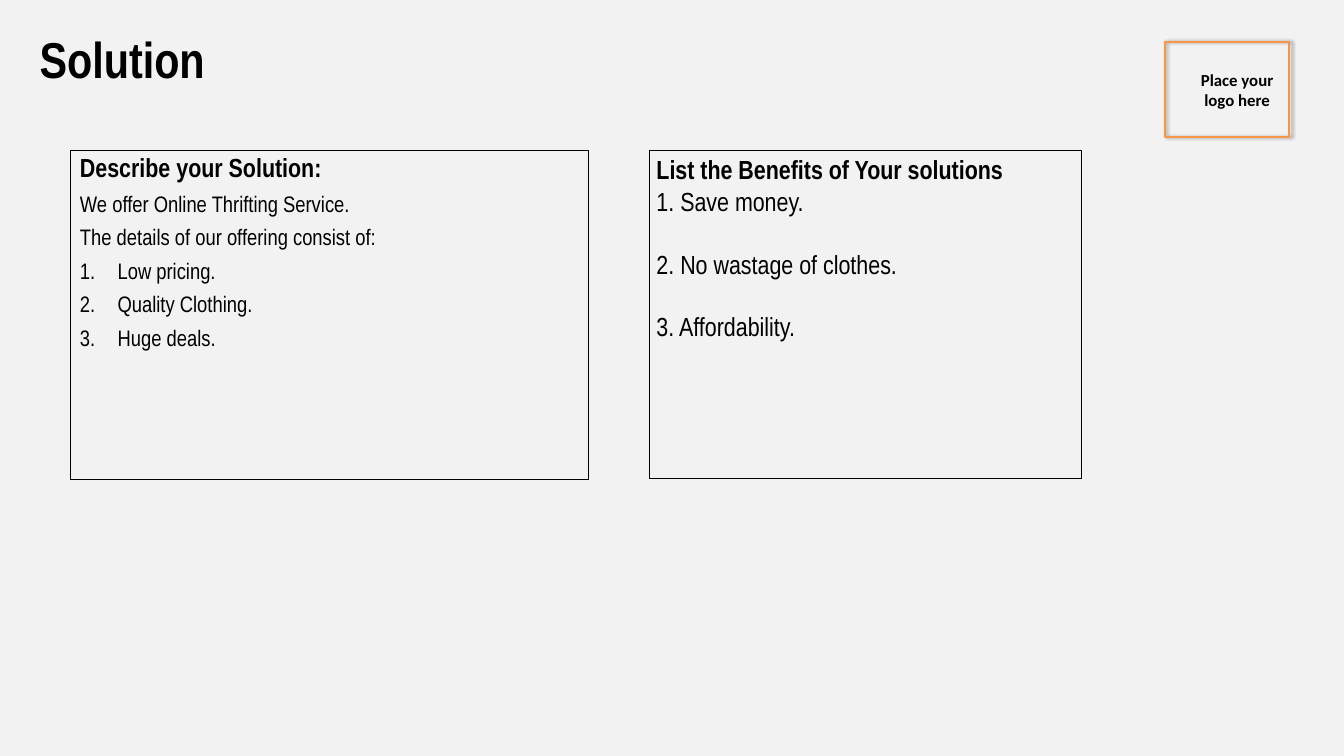
import pptx
import pptx.dml.color
import pptx.enum.shapes
import pptx.enum.text
import pptx.oxml
import pptx.util
from lxml import etree

Inches = pptx.util.Inches
Pt = pptx.util.Pt
ALIGN = pptx.enum.text.PP_ALIGN
NS = "http://schemas.openxmlformats.org/drawingml/2006/main"
COLORS = {"back": "F2F2F2", "ink": "000000", "accent": "F79646"}


def color(name):
    return pptx.dml.color.RGBColor.from_string(COLORS[name])


def write(frame, text, first=False, size=28, font="Arial Narrow", bold=False,
          align=ALIGN.LEFT, line=None, before=0, number=False):
    """Write one paragraph; number makes it an item of a numbered list."""
    para = frame.paragraphs[0] if first else frame.add_paragraph()
    para.alignment = align
    para.space_before = Pt(before)
    if line:
        para.line_spacing = line
    if number:
        props = para._p.get_or_add_pPr()
        props.set("marL", str(Inches(0.56)))
        props.set("indent", str(-Inches(0.56)))
        etree.SubElement(props, f"{{{NS}}}buFont", typeface="+mj-lt")
        etree.SubElement(props, f"{{{NS}}}buAutoNum", type="arabicPeriod")
    run = para.add_run()
    run.text = text
    run.font.size = Pt(size)
    run.font.name = font
    run.font.bold = bold
    run.font.color.rgb = color("ink")


class Deck:
    """Holds the style and the current slide."""

    def __init__(self, wide, high):
        self.show = pptx.Presentation()
        self.show.slide_width = Inches(wide)
        self.show.slide_height = Inches(high)
        self.slide = self.show.slides.add_slide(self.show.slide_layouts[6])
        fill = self.slide.background.fill
        fill.solid()
        fill.fore_color.rgb = color("back")

    def frame(self, shape, side, edge):
        """Set the text insets and return the text frame."""
        frame = shape.text_frame
        frame.word_wrap = True
        frame.vertical_anchor = pptx.enum.text.MSO_ANCHOR.TOP
        frame.margin_left = frame.margin_right = Inches(side)
        frame.margin_top = frame.margin_bottom = Inches(edge)
        return frame

    def label(self, box, side, edge):
        shape = self.slide.shapes.add_textbox(*map(Inches, box))
        return self.frame(shape, side, edge)

    def panel(self, box, line="ink", width=0.75):
        kind = pptx.enum.shapes.MSO_SHAPE.RECTANGLE
        shape = self.slide.shapes.add_shape(kind, *map(Inches, box))
        shape.fill.background()
        shape.line.color.rgb = color(line)
        shape.line.width = Pt(width)
        shape.shadow.inherit = False
        return shape

    def shade(self, shape):
        """Add a soft shadow cast to the right."""
        effects = shape._element.spPr.find(f"{{{NS}}}effectLst")
        effects.append(pptx.oxml.parse_xml(
            f'<a:outerShdw xmlns:a="{NS}" blurRad="{Pt(4)}" dist="{Pt(3)}" '
            f'dir="0" algn="l" rotWithShape="0"><a:srgbClr val="{COLORS["ink"]}">'
            '<a:alpha val="40000"/></a:srgbClr></a:outerShdw>'))


def main():
    deck = Deck(20, 11.25)

    title = deck.label((0.44, 0.03, 12.41, 1.29), 0.15, 0.07)
    write(title, "Solution", first=True, size=54, bold=True, line=Pt(87.5))

    offer = deck.frame(deck.panel((1.04, 2.24, 7.71, 4.89)), 0.15, 0.07)
    space = {"line": 0.9, "before": 10}
    write(offer, "Describe your Solution:", first=True, bold=True, **space)
    for text in ("We offer Online Thrifting Service.",
                 "The details of our offering consist of:"):
        write(offer, text, size=24, **space)
    for text in ("Low pricing.", "Quality Clothing.", "Huge deals."):
        write(offer, text, size=24, number=True, **space)

    logo = deck.label((17.63, 0.99, 1.56, 0.68), 0.07, 0.04)
    write(logo, "Place your logo here", first=True, size=18, font="Calibri",
          bold=True, align=ALIGN.CENTER)
    deck.shade(deck.panel((17.33, 0.63, 1.85, 1.41), "accent", 2))

    gains = deck.frame(deck.panel((9.67, 2.24, 6.42, 4.88)), 0.1, 0.05)
    write(gains, "List the Benefits of Your solutions", first=True, bold=True)
    items = ("Save money.", "No wastage of clothes.", "Affordability.")
    for count, text in enumerate(items, 1):
        write(gains, f"{count}. {text}", before=0 if count == 1 else 33.5)

    deck.show.save("out.pptx")


if __name__ == "__main__":
    main()
